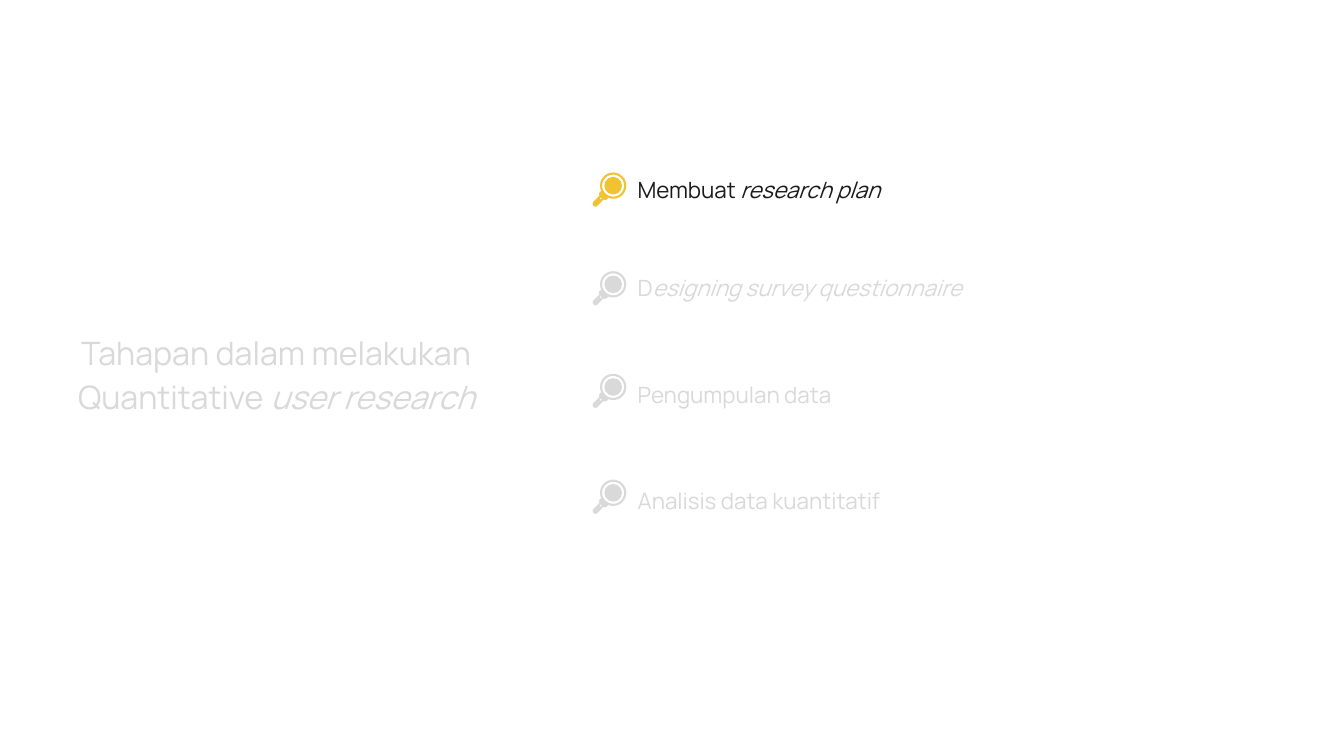
from pptx import Presentation
from pptx.dml.color import RGBColor
from pptx.enum import shapes, text
from pptx.util import Pt

GREY, DARK, YELLOW = "D9D9D9", "1A1A1A", "F1C232"
ICON_LEFT, TEXT_LEFT = 423.4, 450.7

# Points relative to the icon's top left corner
HANDLE = [(6.5, 13), (5, 14.4), (4.7, 15.5), (5, 16.6), (0.7, 20.9), (0.1, 22.3),
          (0.7, 23.8), (2.2, 24.5), (3.6, 23.8), (7.9, 19.3), (8.6, 19.9),
          (10.1, 19.3), (11.7, 17.8)]
HANDLE_HOLE = [(5.9, 17.8), (6.7, 18.6), (5.9, 19.4), (5.1, 18.6)]

# Icon top, text top, text width, upright text, italic text, icon colour, text colour
STEPS = [
    (123.2, 118, 393.8, "Membuat ", "research plan", YELLOW, DARK),
    (193.7, 188, 382.3, "D", "esigning survey questionnaire", GREY, GREY),
    (267, 264.2, 382.3, "Pengumpulan data", "", GREY, GREY),
    (342.6, 340, 382.3, "Analisis data kuantitatif", "", GREY, GREY),
]


def color(hex_code):
    return RGBColor.from_string(hex_code)


def add_text(s, x, y, w, h, upright, italic, size, hex_code, align):
    """Add one paragraph: an upright run, then an italic one if given."""
    tf = s.shapes.add_textbox(Pt(x), Pt(y), Pt(w), Pt(h)).text_frame
    tf.word_wrap = True
    tf.auto_size = text.MSO_AUTO_SIZE.SHAPE_TO_FIT_TEXT
    tf.margin_left = tf.margin_right = tf.margin_top = tf.margin_bottom = Pt(5)
    p = tf.paragraphs[0]
    p.alignment = align
    p.line_spacing = 1.15
    p.font.name = "Manrope"
    p.font.size = Pt(size)
    p.font.color.rgb = color(hex_code)
    p.add_run().text = upright
    if italic:
        r = p.add_run()
        r.text = italic
        r.font.italic = True


def paint(sp, hex_code):
    sp.shadow.inherit = False
    sp.fill.solid()
    sp.fill.fore_color.rgb = color(hex_code)
    sp.line.fill.background()


def add_magnifier(s, x, y, hex_code):
    icon = s.shapes.add_group_shape().shapes

    def place(points):
        return [(Pt(x + dx), Pt(y + dy)) for dx, dy in points]

    handle, hole = place(HANDLE), place(HANDLE_HOLE)
    outline = icon.build_freeform(*handle[0])
    outline.add_line_segments(handle[1:])
    outline.move_to(*hole[0])
    outline.add_line_segments(hole[1:])
    paint(outline.convert_to_shape(), hex_code)

    ring = icon.add_shape(shapes.MSO_SHAPE.DONUT, Pt(x + 5.4), Pt(y), Pt(18.8), Pt(18.8))
    ring.adjustments[0] = 0.08
    paint(ring, hex_code)
    lens = icon.add_shape(shapes.MSO_SHAPE.OVAL, Pt(x + 8.5), Pt(y + 3.1), Pt(12.6), Pt(12.6))
    paint(lens, hex_code)


def main():
    prs = Presentation()
    prs.slide_width, prs.slide_height = Pt(960.5), Pt(540)
    s = prs.slides.add_slide(prs.slide_layouts[6])
    add_text(s, 32.4, 229, 330.5, 72.7, "Tahapan dalam melakukan Quantitative ",
             "user research", 23, GREY, text.PP_ALIGN.CENTER)
    for icon_top, top, width, upright, italic, icon_color, text_color in STEPS:
        add_text(s, TEXT_LEFT, top, width, 31.7, upright, italic, 16, text_color,
                 text.PP_ALIGN.LEFT)
        add_magnifier(s, ICON_LEFT, icon_top, icon_color)
    prs.save("out.pptx")


if __name__ == "__main__":
    main()
